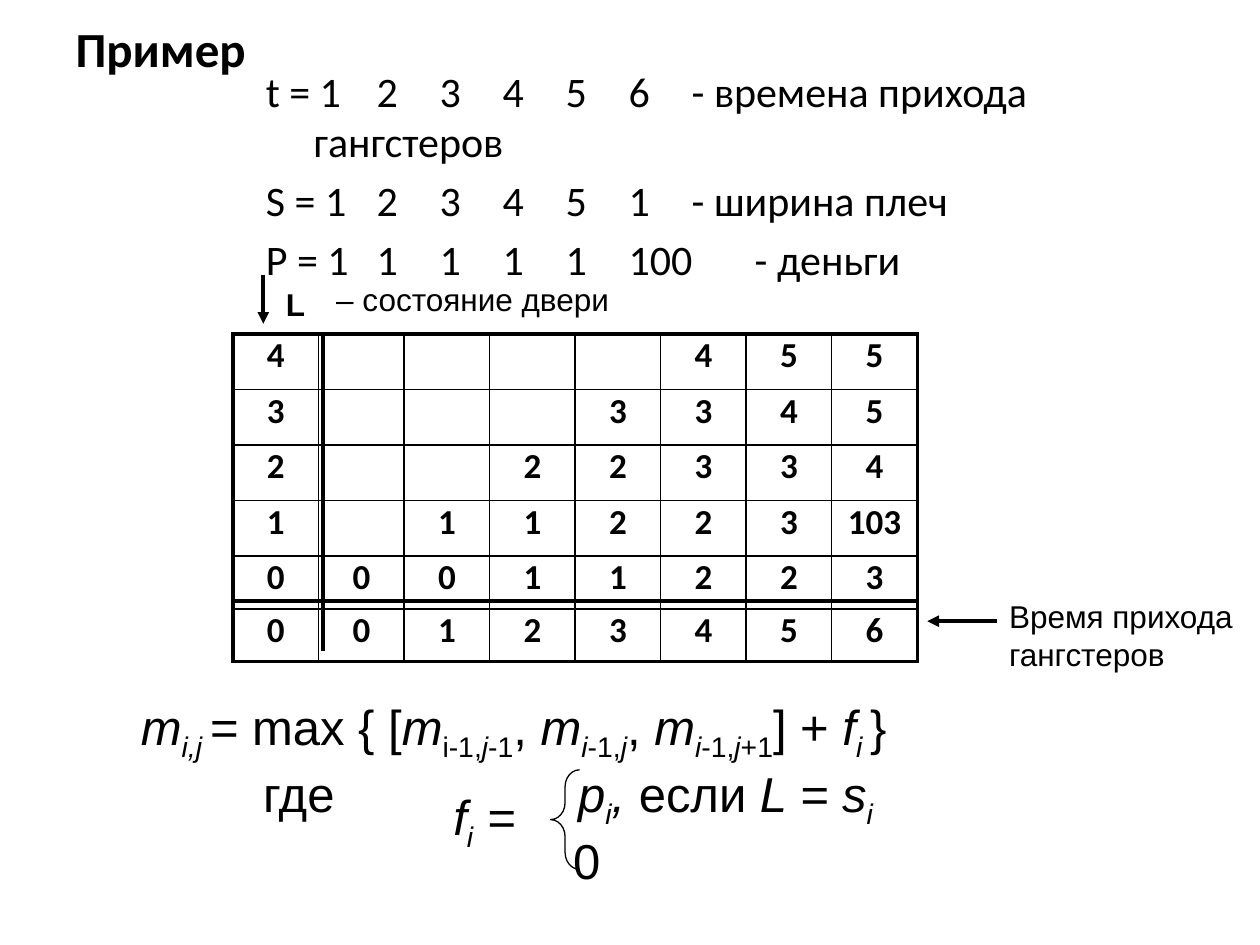
from lxml.etree import SubElement
from pptx import Presentation
from pptx.dml.color import RGBColor
from pptx.enum.shapes import MSO_CONNECTOR, MSO_SHAPE
from pptx.enum.text import MSO_ANCHOR, MSO_AUTO_SIZE, PP_ALIGN
from pptx.oxml.ns import qn
from pptx.util import Inches, Pt

BLACK = RGBColor(0, 0, 0)
THIN, THICK = 1, 2.25
TABLE_LEFT, TABLE_TOP = 1.85, 2.65
TABLE_WIDTH, TABLE_HEIGHT = 5.43, 2.52

GIVEN = [
    "t = 1\t2\t3\t4\t5\t6\t- времена прихода гангстеров",
    "S = 1\t2\t3\t4\t5\t1\t- ширина плеч",
    "P = 1\t1\t1\t1\t1\t100\t- деньги",
]
GIVEN_TABS = [0.8 + 0.32 * column for column in range(5)] + [2.77]

STATES = [
    ["4", "", "", "", "", "4", "5", "5"],
    ["3", "", "", "", "3", "3", "4", "5"],
    ["2", "", "", "2", "2", "3", "3", "4"],
    ["1", "", "1", "1", "2", "2", "3", "103"],
    ["0", "0", "0", "1", "1", "2", "2", "3"],
    ["0", "0", "1", "2", "3", "4", "5", "6"],
]

RECURRENCE = [
    ("m", "i"), ("i,j ", "is"), ("= max { [", ""),
    ("m", "i"), ("i-1,", "s"), ("j", "is"), ("-1", "s"), (", ", ""),
    ("m", "i"), ("i", "is"), ("-1,", "s"), ("j", "is"), (", ", ""),
    ("m", "i"), ("i", "is"), ("-1,", "s"), ("j", "is"), ("+1", "s"),
    ("] + ", ""), ("f", "i"), ("i ", "is"), ("}", ""),
]
CONDITION = [
    ("\tгде\t", ""), ("p", "i"), ("i", "is"), (", ", "i"),
    ("если ", ""), ("L = s", "i"), ("i", "is"),
]
OTHERWISE = [("\t0", "")]
BONUS = [("f", "i"), ("i", "is"), (" =", "i")]


def place(shape, left, top, width, height):
    shape.left, shape.top = Inches(left), Inches(top)
    shape.width, shape.height = Inches(width), Inches(height)


def add_run(paragraph, text, size, family, style=""):
    run = paragraph.add_run()
    run.text = text
    font = run.font
    font.size, font.name = Pt(size), family
    font.bold, font.italic = "b" in style, "i" in style
    font.color.rgb = BLACK
    if "s" in style:
        run._r.get_or_add_rPr().set("baseline", "-25000")


def set_tabs(paragraph, stops):
    tabs = SubElement(paragraph._p.get_or_add_pPr(), qn("a:tabLst"))
    for stop in stops:
        SubElement(tabs, qn("a:tab"), pos=str(Inches(stop)), algn="l")


def fill_paragraphs(frame, lines, size, family, tabs=()):
    for index, line in enumerate(lines):
        paragraph = frame.add_paragraph() if index else frame.paragraphs[0]
        for text, style in line:
            add_run(paragraph, text, size, family, style)
        if index < len(tabs) and tabs[index]:
            set_tabs(paragraph, tabs[index])


def add_label(slide, box, lines, size=18, wrap=False, tabs=()):
    label = slide.shapes.add_textbox(*map(Inches, box))
    frame = label.text_frame
    frame.word_wrap = wrap
    frame.auto_size = MSO_AUTO_SIZE.SHAPE_TO_FIT_TEXT
    fill_paragraphs(frame, lines, size, "Arial", tabs)


def add_line(slide, start, end, arrow=False):
    line = slide.shapes.add_connector(
        MSO_CONNECTOR.STRAIGHT, *map(Inches, start + end))
    line.line.color.rgb = BLACK
    line.line.width = Pt(THICK)
    if arrow:
        SubElement(line.line._get_or_add_ln(), qn("a:tailEnd"), type="triangle")
    SubElement(line._element.spPr, qn("a:effectLst"))


def set_borders(cell, widths):
    properties = cell._tc.get_or_add_tcPr()
    for index, (side, width) in enumerate(widths.items()):
        border = SubElement(properties, qn(f"a:ln{side}"), w=str(Pt(width)))
        fill = SubElement(border, qn("a:solidFill"))
        SubElement(fill, qn("a:srgbClr"), val=str(BLACK))
        properties.insert(index, border)


def fill_state(cell, value):
    cell.fill.background()
    paragraph = cell.text_frame.paragraphs[0]
    paragraph.alignment = PP_ALIGN.CENTER
    if value:
        paragraph.line_spacing = 0.8
        paragraph.space_before = Pt(4)
        add_run(paragraph, value, 20, "Calibri", "b")
    else:
        ending = SubElement(paragraph._p, qn("a:endParaRPr"), sz="2000")
        SubElement(ending, qn("a:latin"), typeface="Calibri")


def add_state_table(slide):
    rows, columns = len(STATES), len(STATES[0])
    table = slide.shapes.add_table(
        rows, columns, Inches(TABLE_LEFT), Inches(TABLE_TOP),
        Inches(TABLE_WIDTH), Inches(TABLE_HEIGHT)).table
    table.first_row = table.horz_banding = False
    for r, values in enumerate(STATES):
        for c, value in enumerate(values):
            cell = table.cell(r, c)
            fill_state(cell, value)
            set_borders(cell, {
                "L": THICK if c == 0 else THIN,
                "R": THICK if c == columns - 1 else THIN,
                "T": THICK if r == 0 else THIN,
                "B": THICK if r == rows - 1 else THIN,
            })


def add_heading(slide):
    title = slide.shapes.title
    place(title, 0.5, 0.16, 9, 0.44)
    frame = title.text_frame
    frame.auto_size = MSO_AUTO_SIZE.NONE
    frame.vertical_anchor = MSO_ANCHOR.MIDDLE
    frame.paragraphs[0].alignment = PP_ALIGN.LEFT
    fill_paragraphs(frame, [[("Пример", "b")]], 28, "Calibri")


def add_given(slide):
    body = slide.placeholders[1]
    place(body, 2.01, 0.47, 7.64, 1.65)
    frame = body.text_frame
    frame.auto_size = MSO_AUTO_SIZE.NONE
    fill_paragraphs(frame, [[(line, "")] for line in GIVEN], 24, "Calibri")
    for paragraph in frame.paragraphs:
        properties = paragraph._p.get_or_add_pPr()
        properties.set("marL", str(Inches(0.38)))
        properties.set("indent", str(-Inches(0.38)))
        SubElement(properties, qn("a:buNone"))
        set_tabs(paragraph, GIVEN_TABS)


def add_brace(slide):
    brace = slide.shapes.add_shape(
        MSO_SHAPE.LEFT_BRACE, *map(Inches, (4.37, 6.11, 0.23, 0.79)))
    brace.adjustments[0], brace.adjustments[1] = 0.585, 0.5
    brace.shadow.inherit = False
    brace.fill.background()
    brace.line.color.rgb = BLACK
    brace.line.width = Pt(0.75)


def main():
    presentation = Presentation()
    presentation.slide_width, presentation.slide_height = Inches(10), Inches(7.5)
    slide = presentation.slides.add_slide(presentation.slide_layouts[1])
    add_heading(slide)
    add_given(slide)
    add_state_table(slide)
    add_line(slide, (7.91, 4.93), (7.36, 4.93), arrow=True)
    add_label(slide, (7.91, 4.69, 1.99, 0.71),
              [[("Время прихода", "")], [("гангстеров", "")]])
    add_line(slide, (2.09, 2.18), (2.09, 2.57), arrow=True)
    add_label(slide, (2.17, 2.21, 0.35, 0.4), [[("L", "b")]])
    add_label(slide, (2.57, 2.17, 2.57, 0.4),
              [[("– состояние двери", "")]], wrap=True)
    add_line(slide, (2.56, TABLE_TOP), (2.56, TABLE_TOP + TABLE_HEIGHT))
    add_line(slide, (TABLE_LEFT, 4.77), (TABLE_LEFT + TABLE_WIDTH, 4.77))
    add_label(slide, (1.02, 5.48, 6.93, 1.97),
              [RECURRENCE, CONDITION, OTHERWISE], 28, True,
              [(), (0.97, 3.47), (3.43,)])
    add_brace(slide)
    add_label(slide, (3.5, 6.19, 0.71, 0.57), [BONUS], 28, True)
    presentation.save("out.pptx")


if __name__ == "__main__":
    main()
